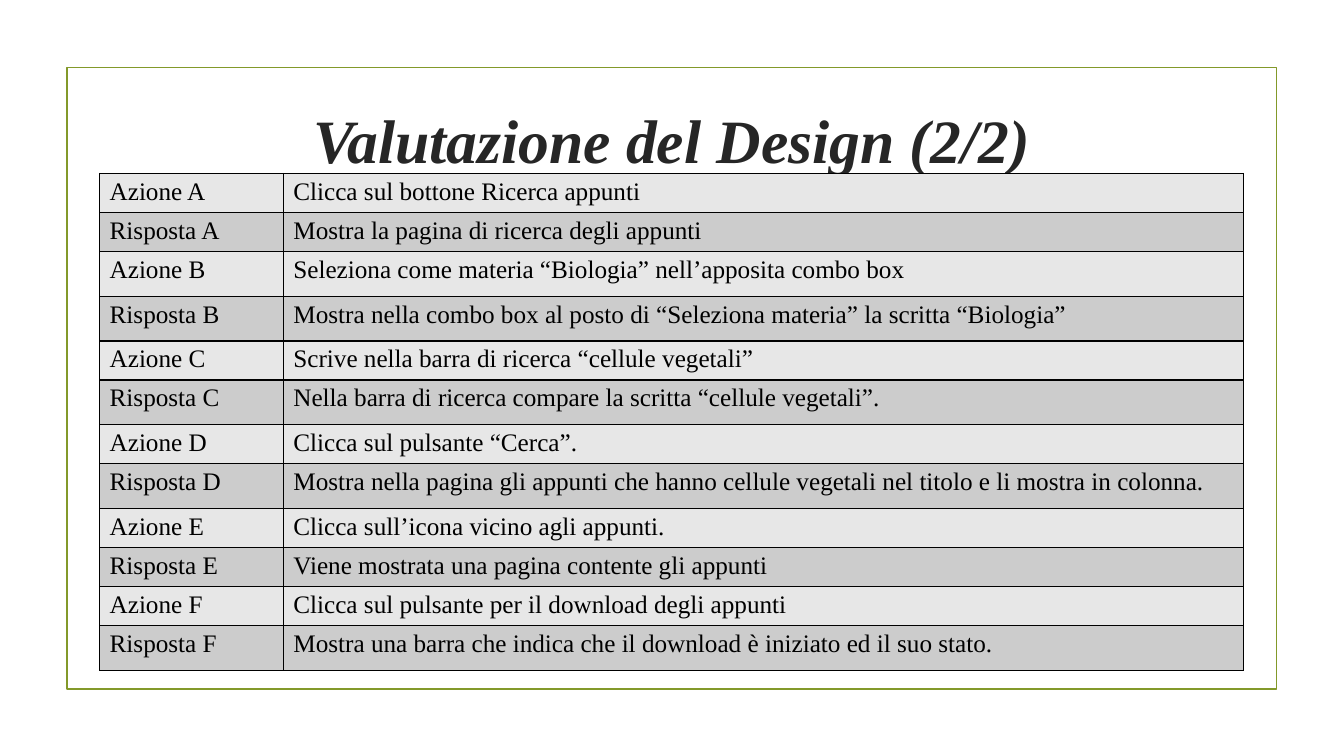
from dataclasses import dataclass

from lxml.etree import SubElement
from pptx import Presentation
from pptx.dml.color import RGBColor
from pptx.enum.shapes import MSO_SHAPE
from pptx.enum.text import MSO_ANCHOR, PP_ALIGN
from pptx.oxml.ns import qn
from pptx.slide import Slide
from pptx.table import _Cell
from pptx.text.text import _Paragraph
from pptx.util import Cm, Pt

FONT = "Times New Roman"
COLORS = {
    "frame": "83992A",
    "title": "262626",
    "text": "000000",
    "border": "000000",
    "action": "E7E7E7",
    "response": "CCCCCC",
}
COLUMN_WIDTHS = (4.63, 24.2)
SHORT_ROW, TALL_ROW = 0.96, 1.13


@dataclass
class Step:
    letter: str
    action: str
    response: str
    action_height: float = SHORT_ROW
    response_height: float = TALL_ROW


STEPS = [
    Step("A", "Clicca sul bottone Ricerca appunti",
         "Mostra la pagina di ricerca degli appunti", response_height=SHORT_ROW),
    Step("B", "Seleziona come materia “Biologia” nell’apposita combo box",
         "Mostra nella combo box al posto di “Seleziona materia” la scritta “Biologia”",
         action_height=TALL_ROW),
    Step("C", "Scrive nella barra di ricerca “cellule vegetali”",
         "Nella barra di ricerca compare la scritta “cellule vegetali”."),
    Step("D", "Clicca sul pulsante “Cerca”.",
         "Mostra nella pagina gli appunti che hanno cellule vegetali nel titolo "
         "e li mostra in colonna."),
    Step("E", "Clicca sull’icona vicino agli appunti.",
         "Viene mostrata una pagina contente gli appunti", response_height=SHORT_ROW),
    Step("F", "Clicca sul pulsante per il download degli appunti",
         "Mostra una barra che indica che il download è iniziato ed il suo stato."),
]


def color(name: str) -> RGBColor:
    return RGBColor.from_string(COLORS[name])


def add_run(paragraph: _Paragraph, text: str, size: float, color_name: str,
            emphasis: bool = False) -> None:
    run = paragraph.add_run()
    run.text = text
    run.font.name = FONT
    run.font.size = Pt(size)
    run.font.bold = run.font.italic = emphasis
    run.font.color.rgb = color(color_name)


def add_frame(slide: Slide) -> None:
    frame = slide.shapes.add_shape(
        MSO_SHAPE.RECTANGLE, Cm(1.69), Cm(1.7), Cm(30.48), Cm(15.67))
    frame.shadow.inherit = False
    frame.fill.background()
    frame.line.color.rgb = color("frame")
    frame.line.width = Pt(1.25)


def add_title(slide: Slide) -> None:
    title = slide.shapes.add_textbox(Cm(3.6), Cm(1.68), Cm(26.67), Cm(3.63))
    text_frame = title.text_frame
    text_frame.word_wrap = True
    text_frame.vertical_anchor = MSO_ANCHOR.MIDDLE
    paragraph = text_frame.paragraphs[0]
    paragraph.alignment = PP_ALIGN.CENTER
    add_run(paragraph, "Valutazione del Design (2/2)", 44, "title", emphasis=True)


def fill_cell(cell: _Cell, text: str, fill_name: str) -> None:
    cell.margin_top = cell.margin_bottom = Cm(0.11)
    add_run(cell.text_frame.paragraphs[0], text, 18, "text")
    # Borders come before the fill in the cell properties
    properties = cell._tc.get_or_add_tcPr()
    for side in ("a:lnL", "a:lnR", "a:lnT", "a:lnB"):
        line = SubElement(properties, qn(side), w=str(Pt(1)))
        solid = SubElement(line, qn("a:solidFill"))
        SubElement(solid, qn("a:srgbClr"), val=COLORS["border"])
    cell.fill.solid()
    cell.fill.fore_color.rgb = color(fill_name)


def add_steps_table(slide: Slide) -> None:
    rows = []
    for step in STEPS:
        rows.append((f"Azione {step.letter}", step.action, step.action_height, "action"))
        rows.append((f"Risposta {step.letter}", step.response, step.response_height,
                     "response"))
    table = slide.shapes.add_table(
        len(rows), len(COLUMN_WIDTHS), Cm(2.51), Cm(4.37),
        Cm(sum(COLUMN_WIDTHS)), Cm(sum(row[2] for row in rows))).table
    table.first_row = table.horz_banding = False
    for column, width in zip(table.columns, COLUMN_WIDTHS):
        column.width = Cm(width)
    for table_row, (label, description, height, fill_name) in zip(table.rows, rows):
        table_row.height = Cm(height)
        for cell, text in zip(table_row.cells, (label, description)):
            fill_cell(cell, text, fill_name)


def main() -> None:
    presentation = Presentation()
    presentation.slide_width = Cm(33.87)
    presentation.slide_height = Cm(19.05)
    slide = presentation.slides.add_slide(presentation.slide_layouts[6])
    add_frame(slide)
    add_title(slide)
    add_steps_table(slide)
    presentation.save("out.pptx")


if __name__ == "__main__":
    main()
